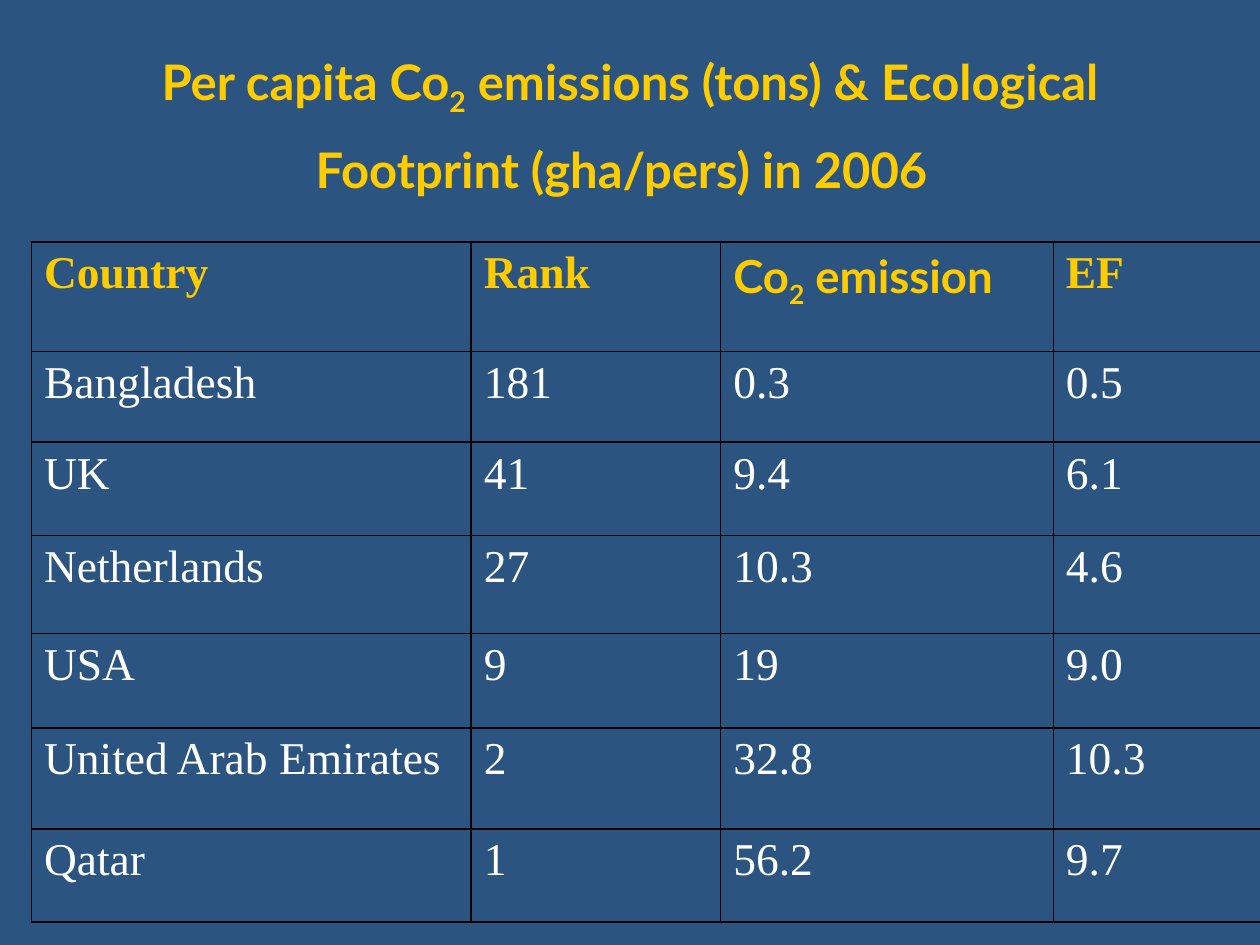
import pptx
import pptx.util
import pptx.dml.color
import pptx.enum.text
import pptx.oxml
import pptx.oxml.ns

Inches = pptx.util.Inches
Pt = pptx.util.Pt
RGBColor = pptx.dml.color.RGBColor

NAVY = RGBColor(0x2B, 0x54, 0x81)
GOLD = RGBColor(0xFF, 0xCC, 0x00)
WHITE = RGBColor(0xFF, 0xFF, 0xFF)
BORDER = "000000"

COLUMN_WIDTHS = [3.49, 1.98, 2.64, 1.65]
ROW_HEIGHTS = [0.87, 0.72, 0.74, 0.78, 0.75, 0.8, 0.74]
ROWS = [
    ["Country", "Rank", ("Co", "2", " emission"), "EF"],
    ["Bangladesh", "181", "0.3", "0.5"],
    ["UK", "41", "9.4", "6.1"],
    ["Netherlands", "27", "10.3", "4.6"],
    ["USA", "9", "19", "9.0"],
    ["United Arab Emirates", "2", "32.8", "10.3"],
    ["Qatar", "1", "56.2", "9.7"],
]


class SlideBuilder:
    """Holds the style and the current slide, and adds elements to it."""

    heading_font = "Lato"
    body_font = "Times New Roman"

    def __init__(self, deck):
        self.page = deck.slides.add_slide(deck.slide_layouts[6])
        self.page.background.fill.solid()
        self.page.background.fill.fore_color.rgb = NAVY

    def style(self, font, name, size, color, bold):
        font.name = name
        font.size = Pt(size)
        font.color.rgb = color
        font.bold = bold

    def formula(self, para, before, subscript, after):
        for text in (before, subscript, after):
            span = para.add_run()
            span.text = text
            if text == subscript:
                span.font._element.set("baseline", "-25000")

    def title(self, parts, left, top, width, height):
        box = self.page.shapes.add_textbox(
            Inches(left), Inches(top), Inches(width), Inches(height))
        frame = box.text_frame
        frame.word_wrap = True
        frame.vertical_anchor = pptx.enum.text.MSO_ANCHOR.MIDDLE
        para = frame.paragraphs[0]
        para.alignment = pptx.enum.text.PP_ALIGN.CENTER
        self.formula(para, *parts)
        self.style(para.font, self.heading_font, 28, GOLD, True)
        space = para.add_run()
        space.text = " "
        space.font.size = Pt(40)

    def border(self, cell):
        properties = cell._tc.get_or_add_tcPr()
        for position, side in enumerate(("lnL", "lnR", "lnT", "lnB")):
            properties.insert(position, pptx.oxml.parse_xml(
                f'<a:{side} {pptx.oxml.ns.nsdecls("a")} w="{Pt(1)}">'
                f'<a:solidFill><a:srgbClr val="{BORDER}"/></a:solidFill></a:{side}>'))

    def cell(self, cell, content, header):
        cell.fill.background()
        self.border(cell)
        para = cell.text_frame.paragraphs[0]
        indent = Inches(0.38)
        margins = para._p.get_or_add_pPr()
        margins.set("marL", str(indent))
        margins.set("indent", str(-indent))
        font = self.body_font
        if isinstance(content, tuple):
            self.formula(para, *content)
            font = self.heading_font
        else:
            para.text = content
        self.style(para.font, font, 26, GOLD if header else WHITE, header)

    def table(self, rows, left, top, widths, heights):
        table = self.page.shapes.add_table(
            len(rows), len(widths), Inches(left), Inches(top),
            Inches(sum(widths)), Inches(sum(heights))).table
        table.horz_banding = False
        for column, width in zip(table.columns, widths):
            column.width = Inches(width)
        for index, (row, height) in enumerate(zip(table.rows, heights)):
            row.height = Inches(height)
            for cell, content in zip(row.cells, rows[index]):
                self.cell(cell, content, index == 0)


def main():
    deck = pptx.Presentation()
    deck.slide_width = Inches(10)
    deck.slide_height = Inches(7.5)
    builder = SlideBuilder(deck)
    builder.title(
        ("Per capita Co", "2",
         " emissions (tons) & Ecological Footprint (gha/pers) in 2006"),
        0.5, 0.42, 9, 1.17)
    builder.table(ROWS, 0.25, 1.92, COLUMN_WIDTHS, ROW_HEIGHTS)
    deck.save("out.pptx")


if __name__ == "__main__":
    main()
